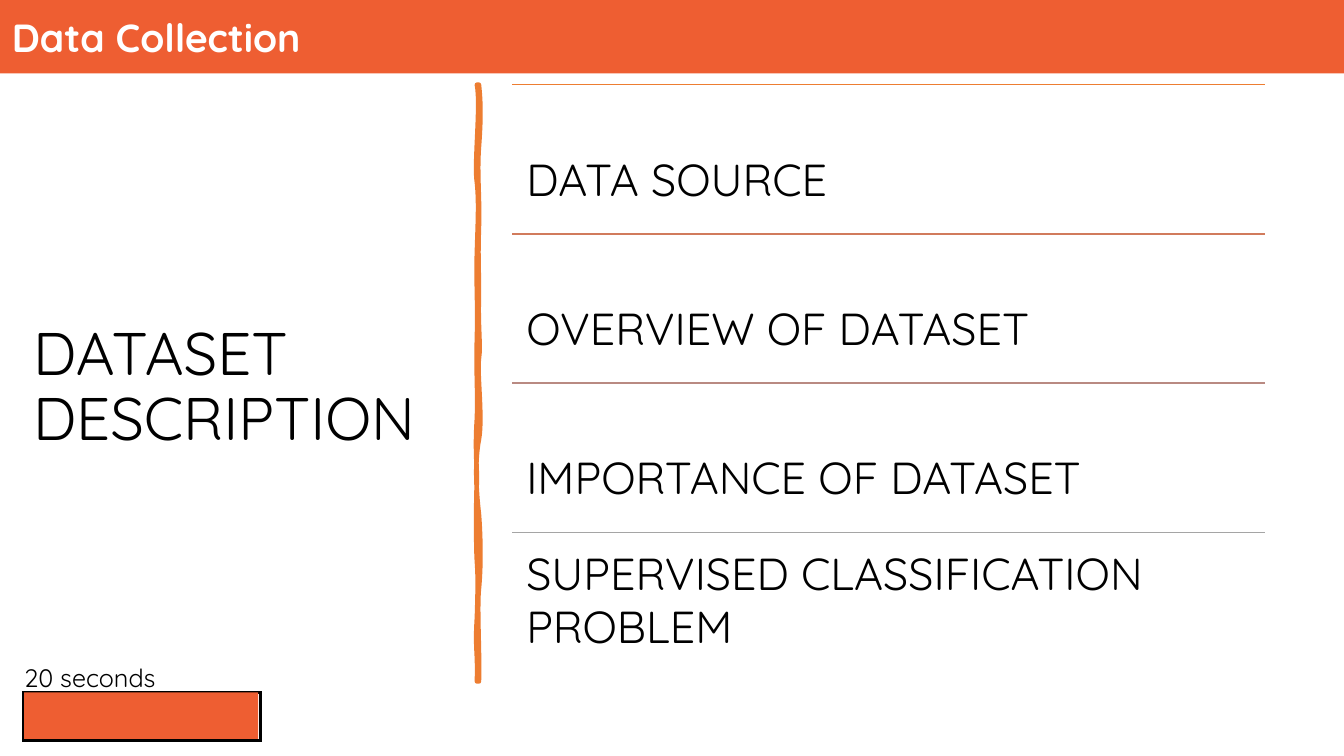
import pptx
import pptx.util
import pptx.dml.color
import pptx.enum.shapes
import pptx.enum.text
import pptx.oxml.ns
from lxml import etree
from pptx.util import Inches

THEME = {
    "font": "Quicksand",
    "banner": "EE5E32",
    "divider": "ED7D31",
    "text": "000000",
    "light": "FFFFFF",
    "rules": ["ED7D31", "D17B5C", "B98A82", "A5A5A5"],
    "heading_size": 42.9,
    "topic_size": 32,
    "banner_size": 28,
    "timer_size": 18,
}

presentation = pptx.Presentation()
presentation.slide_width = Inches(13.33)
presentation.slide_height = Inches(7.5)
slide = presentation.slides.add_slide(presentation.slide_layouts[6])


def add_text(text, box, size, color="text", bold=False, spacing=1.0, insets=(0.1, 0.05), anchor="TOP", wrap=True):
    shape = slide.shapes.add_textbox(*[Inches(value) for value in box])
    frame = shape.text_frame
    frame.word_wrap = wrap
    frame.vertical_anchor = pptx.enum.text.MSO_ANCHOR[anchor]
    frame.margin_left = frame.margin_right = Inches(insets[0])
    frame.margin_top = frame.margin_bottom = Inches(insets[1])
    paragraph = frame.paragraphs[0]
    paragraph.line_spacing = spacing
    run = paragraph.add_run()
    run.text = text
    run.font.name = THEME["font"]
    run.font.size = pptx.util.Pt(THEME[size])
    run.font.bold = bold
    run.font.color.rgb = pptx.dml.color.RGBColor.from_string(THEME[color])


def add_rectangle(box, fill=None, line=None):
    shape = slide.shapes.add_shape(
        pptx.enum.shapes.MSO_SHAPE.RECTANGLE, *[Inches(value) for value in box])
    shape.shadow.inherit = False
    if fill:
        shape.fill.solid()
        shape.fill.fore_color.rgb = pptx.dml.color.RGBColor.from_string(THEME[fill])
    else:
        shape.fill.background()
    if line:
        shape.line.color.rgb = pptx.dml.color.RGBColor.from_string(THEME[line])
        shape.line.width = pptx.util.Pt(2.25)
        outline = shape._element.spPr.find(pptx.oxml.ns.qn("a:ln"))
        etree.SubElement(outline, pptx.oxml.ns.qn("a:miter"), lim="800000")
    else:
        shape.line.fill.background()


divider_start = (4.75, 0.84)
divider_curves = [
    (4.77, 1.02, 4.77, 1.19, 4.75, 1.46),
    (4.73, 1.73, 4.76, 1.95, 4.75, 2.26),
    (4.74, 2.57, 4.75, 2.62, 4.75, 2.94),
    (4.74, 3.25, 4.77, 3.42, 4.75, 3.56),
    (4.73, 3.70, 4.79, 4.14, 4.75, 4.36),
    (4.71, 4.57, 4.72, 4.84, 4.75, 5.10),
    (4.77, 5.36, 4.77, 5.64, 4.75, 5.84),
    (4.73, 6.03, 4.76, 6.50, 4.75, 6.76),
    (4.74, 6.76, 4.73, 6.76, 4.73, 6.76),
    (4.74, 6.46, 4.71, 6.44, 4.73, 6.13),
    (4.74, 5.83, 4.74, 5.70, 4.73, 5.57),
    (4.72, 5.44, 4.72, 4.95, 4.73, 4.77),
    (4.73, 4.59, 4.71, 4.45, 4.73, 4.15),
    (4.74, 3.86, 4.72, 3.73, 4.73, 3.35),
    (4.74, 2.98, 4.72, 2.81, 4.73, 2.50),
    (4.74, 2.18, 4.75, 2.00, 4.73, 1.81),
    (4.70, 1.63, 4.77, 1.04, 4.73, 0.84),
]
builder = slide.shapes.build_freeform(Inches(divider_start[0]), Inches(divider_start[1]))
builder.add_line_segments([(Inches(curve[4]), Inches(curve[5])) for curve in divider_curves], close=True)
divider = builder.convert_to_shape()
segments = list(divider._element.iter(pptx.oxml.ns.qn("a:lnTo")))
for segment, curve in zip(segments, divider_curves):
    bezier = etree.Element(pptx.oxml.ns.qn("a:cubicBezTo"))
    for x, y in zip(curve[::2], curve[1::2]):
        etree.SubElement(bezier, pptx.oxml.ns.qn("a:pt"),
                         x=str(Inches(x) - divider.left), y=str(Inches(y) - divider.top))
    segment.getparent().replace(segment, bezier)
divider.shadow.inherit = False
divider.fill.solid()
divider.fill.fore_color.rgb = pptx.dml.color.RGBColor.from_string(THEME["divider"])
divider.line.color.rgb = pptx.dml.color.RGBColor.from_string(THEME["divider"])
divider.line.width = pptx.util.Pt(3.25)

topics = [
    ("DATA SOURCE", 2.0),
    ("OVERVIEW OF DATASET", 2.0),
    ("IMPORTANCE OF DATASET", 2.0),
    ("SUPERVISED CLASSIFICATION PROBLEM", 1.0),
]
topic_left, topic_top, topic_width, topic_height = 5.08, 0.84, 7.47, 1.48
for index, (topic, spacing) in enumerate(topics):
    top = topic_top + index * topic_height
    rule = slide.shapes.add_connector(
        pptx.enum.shapes.MSO_CONNECTOR.STRAIGHT,
        Inches(topic_left), Inches(top), Inches(topic_left + topic_width), Inches(top))
    rule.line.color.rgb = pptx.dml.color.RGBColor.from_string(THEME["rules"][index])
    rule.line.width = pptx.util.Pt(1)
    etree.SubElement(rule._element.spPr, pptx.oxml.ns.qn("a:effectLst"))
    add_text(topic, (topic_left, top, topic_width, topic_height), "topic_size",
             spacing=spacing, insets=(0.14, 0.13))

add_text("DATASET DESCRIPTION", (0.23, 2.19, 4.26, 2.36), "heading_size",
         spacing=0.9, anchor="BOTTOM")
add_rectangle((0, 0, 13.33, 0.73), fill="banner")
add_text("Data Collection", (0.02, 0.08, 3.17, 0.57), "banner_size",
         color="light", bold=True, wrap=False)
add_rectangle((0.23, 6.87, 2.35, 0.48), line="text")
add_text("20 seconds", (0.14, 6.52, 1.59, 0.4), "timer_size")
add_rectangle((0.24, 6.87, 2.32, 0.46), fill="banner")

presentation.save("out.pptx")
